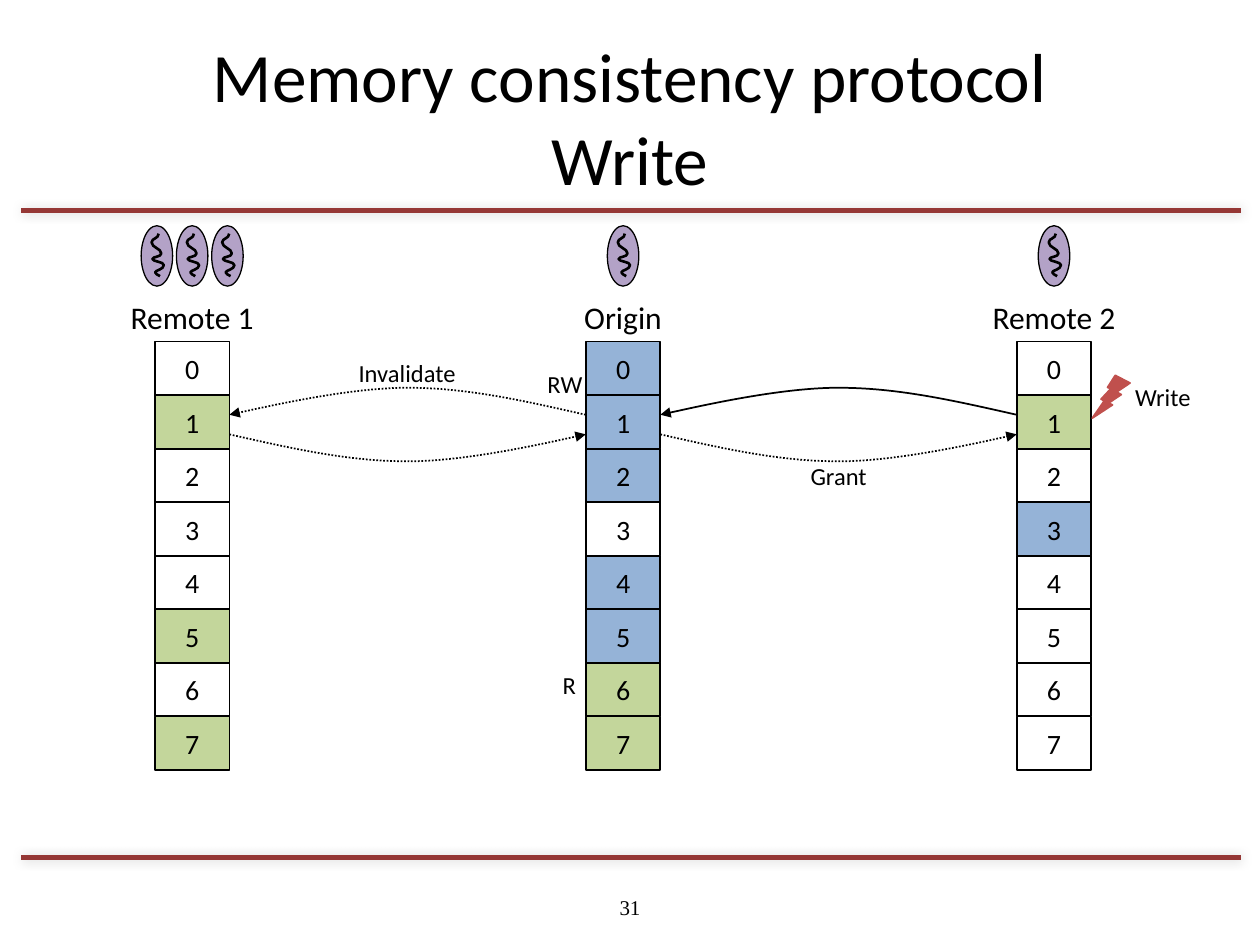
"""Build the slide on the write path of a memory consistency protocol."""
import lxml.etree
import pptx
import pptx.dml.color
import pptx.enum.dml
import pptx.enum.shapes
import pptx.enum.text
import pptx.oxml.ns
import pptx.util

Pt = pptx.util.Pt
RGBColor = pptx.dml.color.RGBColor
ShapeKind = pptx.enum.shapes.MSO_SHAPE
Align = pptx.enum.text.PP_ALIGN
Anchor = pptx.enum.text.MSO_ANCHOR
qn = pptx.oxml.ns.qn

BLACK = RGBColor(0x00, 0x00, 0x00)
WHITE = RGBColor(0xFF, 0xFF, 0xFF)
BLUE = RGBColor(0x95, 0xB3, 0xD7)
GREEN = RGBColor(0xC3, 0xD6, 0x9B)
PURPLE = RGBColor(0xB3, 0xA2, 0xC7)
RED = RGBColor(0xC0, 0x50, 0x4D)
DARK_RED = RGBColor(0x95, 0x37, 0x35)

COLUMN_LEFT, COLUMN_PITCH = 88.5, 246.25
CELL_TOP, CELL_WIDTH, CELL_HEIGHT = 195.2, 42.6, 30.6
THREAD_TOP, THREAD_WIDTH, THREAD_HEIGHT, THREAD_PITCH = 129, 18, 34.5, 20.15
ARROW_MIDDLE = 242.6

NODES = [
    ("Remote 1", 3, {GREEN: (1, 5, 7)}),
    ("Origin", 1, {BLUE: (0, 1, 2, 4, 5), GREEN: (6, 7)}),
    ("Remote 2", 1, {GREEN: (1,), BLUE: (3,)}),
]
SQUIGGLE = [
    (10, 4.5), (10, 7.5), (6, 7), (6, 9.5), (6, 12.5), (11.5, 13), (11.5, 15.8),
    (11.5, 18), (6.5, 17.5), (6.5, 19), (6.5, 20.5), (13, 20.5), (13, 22.5),
    (13, 25), (8, 25.5), (8, 26.6), (8, 27.5), (9.5, 28), (10.8, 28.8),
]
ARC = [(0, -5.6), (33, -13), (66, -20.8), (100, -21), (134, -21.5), (203.65, -5.6), (203.65, -5.6)]


class SlideBuilder:
    """Hold the text style and the current slide, and draw elements on it."""

    def __init__(self, slide, font="Calibri"):
        self.slide = slide
        self.font = font

    def fill_frame(self, frame, text, size, align, font=None):
        """Set vertically centred text, one run for each line."""
        frame.vertical_anchor = Anchor.MIDDLE
        paragraph = frame.paragraphs[0]
        paragraph.alignment = align
        for index, line in enumerate(text.split("\n")):
            if index:
                paragraph.add_line_break()
            run = paragraph.add_run()
            run.text = line
            run.font.size = Pt(size)
            run.font.name = font or self.font
            run.font.color.rgb = BLACK

    def label(self, box, text, size, align=Align.CENTER, font=None, wrap=False):
        """Add a text box."""
        shape = self.slide.shapes.add_textbox(*map(Pt, box))
        shape.text_frame.word_wrap = wrap
        self.fill_frame(shape.text_frame, text, size, align, font)

    def shape(self, kind, box, fill, line=BLACK, width=1):
        """Add a filled preset shape."""
        shape = self.slide.shapes.add_shape(kind, *map(Pt, box))
        shape.shadow.inherit = False
        shape.fill.solid()
        shape.fill.fore_color.rgb = fill
        shape.line.color.rgb = line
        shape.line.width = Pt(width)
        return shape

    def curve(self, points, width=1, dotted=False, arrow=False):
        """Draw a chain of cubic curves through start, control and end points."""
        points = [(Pt(x), Pt(y)) for x, y in points]
        builder = self.slide.shapes.build_freeform(*points[0])
        builder.add_line_segments(points[1:], close=False)
        shape = builder.convert_to_shape()
        shape.shadow.inherit = False
        shape.fill.background()
        shape.line.color.rgb = BLACK
        shape.line.width = Pt(width)
        if dotted:
            shape.line.dash_style = pptx.enum.dml.MSO_LINE.ROUND_DOT
        outline = next(shape.element.iter(qn("a:path")))
        segments = outline.findall(qn("a:lnTo"))
        for start in range(0, len(segments), 3):
            cubic = lxml.etree.SubElement(outline, qn("a:cubicBezTo"))
            for segment in segments[start:start + 3]:
                cubic.append(segment[0])
                outline.remove(segment)
        if arrow:
            line = shape.element.spPr.find(qn("a:ln"))
            lxml.etree.SubElement(line, qn("a:tailEnd"), type="triangle")

    def rule(self, top):
        """Draw a horizontal rule with a soft shadow."""
        connector = self.slide.shapes.add_connector(
            pptx.enum.shapes.MSO_CONNECTOR.STRAIGHT, Pt(12.2), Pt(top), Pt(709.2), Pt(top))
        connector.line.color.rgb = DARK_RED
        connector.line.width = Pt(3)
        effects = lxml.etree.SubElement(connector.element.spPr, qn("a:effectLst"))
        shadow = lxml.etree.SubElement(effects, qn("a:outerShdw"), blurRad=str(Pt(6)))
        color = lxml.etree.SubElement(shadow, qn("a:srgbClr"), val="000000")
        lxml.etree.SubElement(color, qn("a:alpha"), val="20000")

    def thread(self, left):
        """Draw a thread as a squiggle in an ellipse."""
        box = (left, THREAD_TOP, THREAD_WIDTH, THREAD_HEIGHT)
        self.shape(ShapeKind.OVAL, box, PURPLE, width=0.75)
        self.curve([(left + x, THREAD_TOP + y) for x, y in SQUIGGLE], width=1.5)

    def node(self, left, name, threads, colors):
        """Draw a node with its threads, its name and its eight pages."""
        center = left + CELL_WIDTH / 2
        for index in range(threads):
            offset = (index - (threads - 1) / 2) * THREAD_PITCH
            self.thread(center + offset - THREAD_WIDTH / 2)
        self.label((center - 43, 166.5, 86, 29), name, 18)
        fills = {page: color for color, pages in colors.items() for page in pages}
        for page in range(8):
            box = (left, CELL_TOP + page * CELL_HEIGHT, CELL_WIDTH, CELL_HEIGHT)
            cell = self.shape(ShapeKind.RECTANGLE, box, fills.get(page, WHITE))
            self.fill_frame(cell.text_frame, str(page), 16, Align.CENTER)

    def exchange(self, left, right, dotted_request):
        """Draw a request to the left and its reply to the right."""
        request = [(right - x, ARROW_MIDDLE + y) for x, y in ARC]
        reply = [(left + x, ARROW_MIDDLE - y) for x, y in ARC]
        self.curve(request, dotted=dotted_request, arrow=True)
        self.curve(reply, dotted=True, arrow=True)

    def bolt(self, box):
        """Draw a lightning bolt that strikes to the left."""
        shape = self.shape(ShapeKind.LIGHTNING_BOLT, box, RED, RED)
        shape.element.spPr.find(qn("a:xfrm")).set("flipH", "1")


def main():
    """Build and save the presentation."""
    presentation = pptx.Presentation()
    presentation.slide_width, presentation.slide_height = Pt(720), Pt(540)
    builder = SlideBuilder(presentation.slides.add_slide(presentation.slide_layouts[6]))

    builder.rule(490.2)
    builder.label((276, 504, 168, 29), "31", 12, font="Times New Roman", wrap=True)
    builder.rule(120.2)
    builder.label((36, 21.6, 648, 90), "Memory consistency protocol\nWrite", 39.6, wrap=True)

    lefts = [COLUMN_LEFT + index * COLUMN_PITCH for index in range(len(NODES))]
    for left, node in zip(lefts, NODES):
        builder.node(left, *node)
    for index, dotted_request in enumerate((True, False)):
        builder.exchange(lefts[index] + CELL_WIDTH, lefts[index + 1], dotted_request)

    builder.bolt((624.2, 214.5, 21.6, 24.5))
    builder.label((641.5, 214.5, 46.8, 24.5), "Write", 14, Align.LEFT)
    builder.label((197.3, 200.5, 70.6, 24.5), "Invalidate", 14)
    builder.label((313.9, 379, 22.3, 24.5), "R", 14, Align.RIGHT)
    builder.label((305.3, 207, 34.6, 24.5), "RW", 14, Align.RIGHT)
    builder.label((455.8, 259.5, 46.8, 24.5), "Grant", 14)
    presentation.save("out.pptx")


if __name__ == "__main__":
    main()
